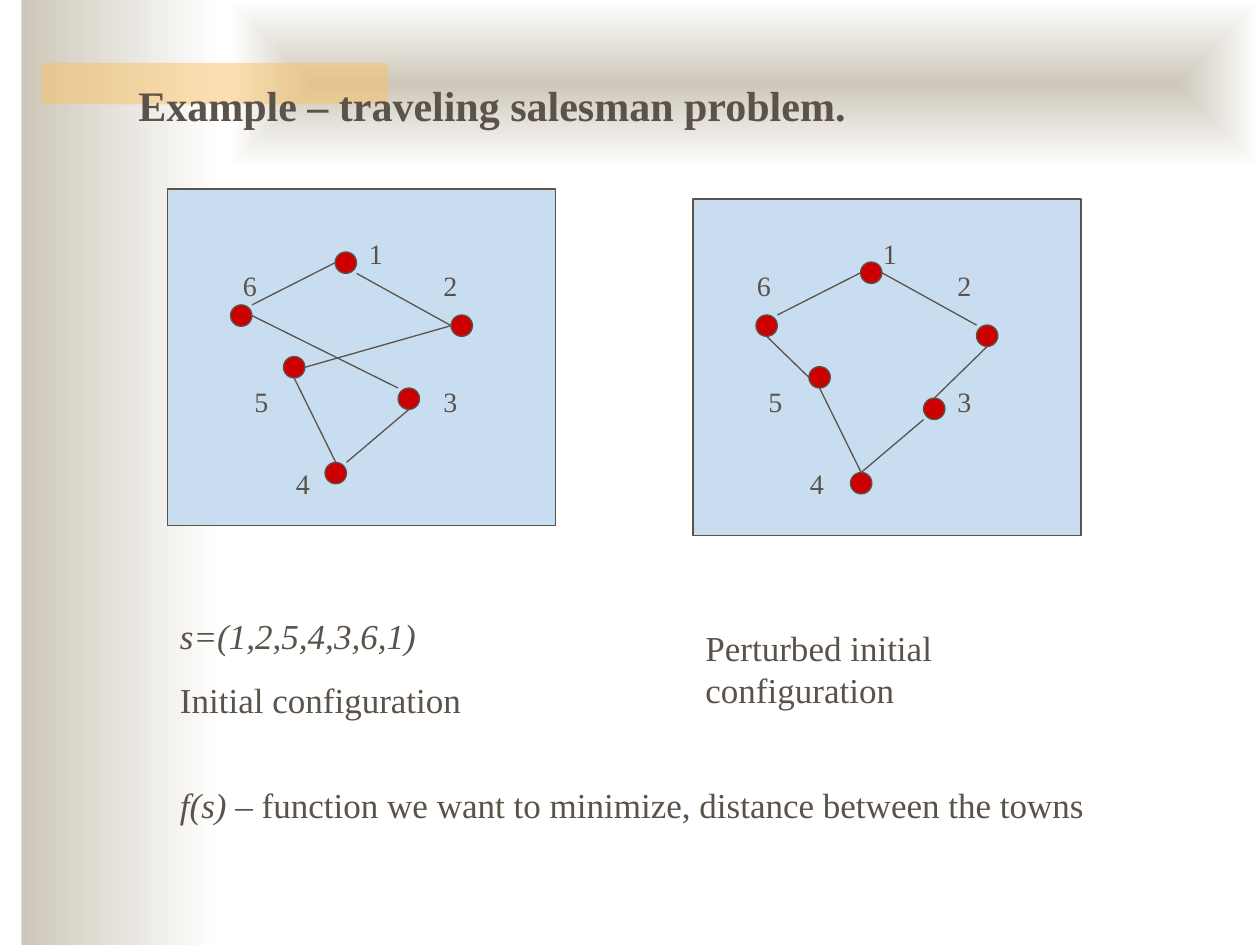
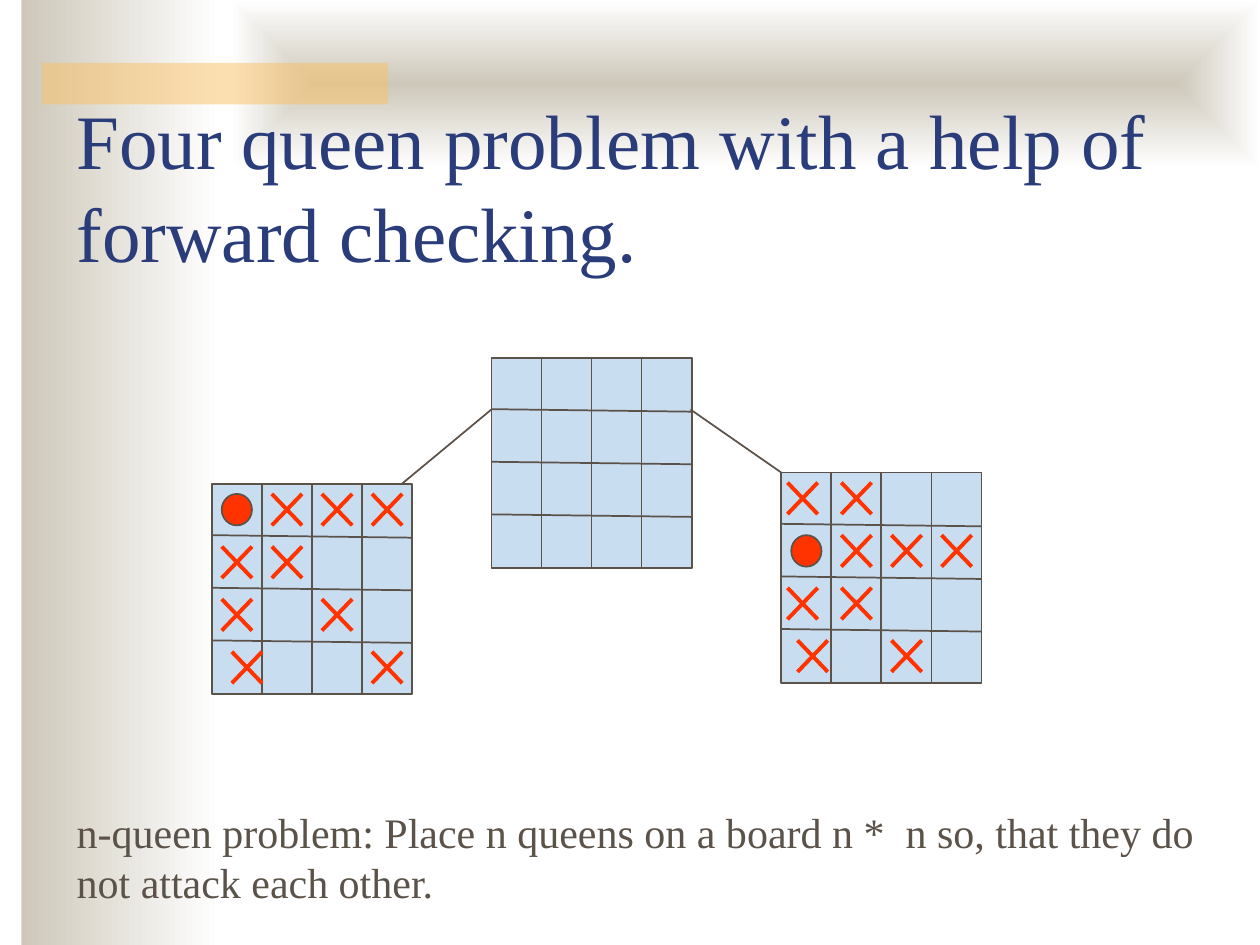
from lxml import etree
from pptx import Presentation
from pptx.dml.color import RGBColor
from pptx.enum.shapes import MSO_CONNECTOR as Connector, MSO_SHAPE as Preset
from pptx.enum.text import MSO_ANCHOR as Anchor, MSO_AUTO_SIZE as AutoSize
from pptx.oxml.ns import qn
from pptx.util import Inches, Pt

FONT = "Times New Roman"
INK = RGBColor(0x5B, 0x52, 0x49)
NAVY = RGBColor(0x2A, 0x3D, 0x7A)
SAND = RGBColor(0xCE, 0xC8, 0xBA)
WHITE = RGBColor(0xFF, 0xFF, 0xFF)
AMBER = RGBColor(0xFA, 0xC1, 0x64)
SKY = RGBColor(0xC9, 0xDD, 0xF1)
TOWN_RED = RGBColor(0xCC, 0x00, 0x00)
QUEEN_RED = RGBColor(0xFF, 0x33, 0x00)

DOT = 0.17
TOWNS = {1: (1.33, 0.5), 2: (2.25, 1), 3: (1.83, 1.58),
         4: (1.25, 2.17), 5: (0.92, 1.33), 6: (0.5, 0.92)}
LABELS = {1: (2.83, 1.83), 2: (3.42, 2.08), 3: (3.42, 3),
          4: (2.25, 3.65), 5: (1.92, 3), 6: (1.83, 2.08)}
ANCHORS = {"N": (0.5, 0), "NE": (1, 0), "E": (1, 0.5), "SE": (1, 1),
           "S": (0.5, 1), "SW": (0, 1), "W": (0, 0.5), "NW": (0, 0)}
INITIAL_ROADS = [(1, "SE", 2, "W"), (2, "W", 5, "E"), (5, "S", 4, "N"),
                 (4, "NE", 3, "S"), (3, "NW", 6, "E"), (6, "NE", 1, "W")]
PERTURBED_ROADS = [(1, "E", 2, "NW"), (5, "S", 4, "N"), (4, "N", 3, "SW"),
                   (6, "NE", 1, "W"), (6, "S", 5, "W"), (2, "S", 3, "N")]

BOARD_SIZE = (1.59, 1.67)
CELL_WIDTH = BOARD_SIZE[0] / 4
CELL_HEIGHT = BOARD_SIZE[1] / 4
EMPTY = ("....",) * 4
LEFT_MARKS = ("QXXX", "XX..", "X.X.", "X..X")
RIGHT_MARKS = ("XX..", "QXXX", "XX..", "X.X.")


def add_block(shapes, preset, left, top, width, height, fill=None, line=None, weight=0.75):
    block = shapes.add_shape(preset, Inches(left), Inches(top), Inches(width), Inches(height))
    block.shadow.inherit = False
    if fill is not None:
        block.fill.solid()
        block.fill.fore_color.rgb = fill
    if line is None:
        block.line.fill.background()
    else:
        block.line.color.rgb = line
        block.line.width = Pt(weight)
    return block


def add_line(shapes, start, end, color=INK, weight=0.75):
    line = shapes.add_connector(Connector.STRAIGHT, *(Inches(value) for value in (*start, *end)))
    line.line.color.rgb = color
    line.line.width = Pt(weight)
    etree.SubElement(line._element.spPr, qn("a:effectLst"))


def add_text(shapes, left, top, width, height, paragraphs, size,
             color=INK, bold=False, gap=0, anchor=Anchor.TOP, grow=True):
    box = shapes.add_textbox(Inches(left), Inches(top), Inches(width), Inches(height))
    frame = box.text_frame
    frame.word_wrap = True
    frame.vertical_anchor = anchor
    frame.auto_size = AutoSize.SHAPE_TO_FIT_TEXT if grow else AutoSize.NONE
    for index, spans in enumerate(paragraphs):
        para = frame.add_paragraph() if index else frame.paragraphs[0]
        if index:
            para.space_before = Pt(gap)
        para.font.name = FONT
        para.font.size = Pt(size)
        para.font.bold = bold
        para.font.color.rgb = color
        for text, italic in spans:
            span = para.add_run()
            span.text = text
            span.font.italic = italic


def set_gradient(block, from_center=False):
    block.fill.gradient()
    block.fill.gradient_angle = 0
    for stop, color, position in zip(block.fill.gradient_stops, (SAND, WHITE), (0, 1)):
        stop.color.rgb = color
        stop.position = position
    if from_center:
        gradient = block._element.spPr.find(qn("a:gradFill"))
        gradient.remove(gradient.find(qn("a:lin")))
        shade = etree.SubElement(gradient, qn("a:path"), path="rect")
        etree.SubElement(shade, qn("a:fillToRect"), l="50000", t="50000", r="50000", b="50000")


def add_page(deck):
    page = deck.slides.add_slide(deck.slide_layouts[6])
    set_gradient(add_block(page.shapes, Preset.RECTANGLE, 0.17, 0, 1.58, 7.5))
    set_gradient(add_block(page.shapes, Preset.RECTANGLE, 1.83, 0, 8.17, 1.33), from_center=True)
    bar = add_block(page.shapes, Preset.RECTANGLE, 0.33, 0.5, 2.75, 0.33, AMBER)
    color = bar._element.spPr.find(qn("a:solidFill"))[0]
    etree.SubElement(color, qn("a:alpha"), val="50000")
    return page


def add_tour(page, left, top, label_shift, roads):
    shapes = page.shapes.add_group_shape().shapes
    add_block(shapes, Preset.RECTANGLE, left, top, 3.08, 2.67, SKY, INK)
    for x, y in TOWNS.values():
        add_block(shapes, Preset.OVAL, left + x, top + y, DOT, DOT, TOWN_RED, INK)
    for town, (x, y) in LABELS.items():
        add_text(shapes, x + label_shift, y, 0.33, 0.37, [[(str(town), False)]], 16)

    def road_end(town, side):
        x, y = TOWNS[town]
        across, down = ANCHORS[side]
        return left + x + across * DOT, top + y + down * DOT

    for start, start_side, end, end_side in roads:
        add_line(shapes, road_end(start, start_side), road_end(end, end_side))


def add_cross(shapes, left, top):
    right, bottom = left + 0.24, top + 0.25
    add_line(shapes, (left, top), (right, bottom), QUEEN_RED, 2.25)
    add_line(shapes, (right, top), (left, bottom), QUEEN_RED, 2.25)


def add_board(page, left, top, marks, nudges):
    shapes = page.shapes.add_group_shape().shapes
    width, height = BOARD_SIZE
    add_block(shapes, Preset.RECTANGLE, left, top, width, height, SKY, INK, 1)
    for step in range(1, 4):
        x, y = left + step * CELL_WIDTH, top + step * CELL_HEIGHT
        add_line(shapes, (x, top), (x, top + height), weight=1)
        add_line(shapes, (left + width, y + 0.01), (left, y - 0.01), weight=1)
    for row, line in enumerate(marks):
        for column, mark in enumerate(line):
            x = left + 0.08 + column * CELL_WIDTH + nudges.get((column, row), 0)
            y = top + 0.08 + row * CELL_HEIGHT
            if mark == "Q":
                add_block(shapes, Preset.OVAL, x, y, 0.24, 0.25, QUEEN_RED, INK, 1)
            elif mark == "X":
                add_cross(shapes, x, y)


def add_salesman_page(deck):
    page = add_page(deck)
    add_text(page.shapes, 1, 0.58, 9, 0.5,
             [[("Example – traveling salesman problem.", False)]], 24, bold=True)
    add_tour(page, 1.33, 1.5, 0, INITIAL_ROADS)
    add_text(page.shapes, 1.33, 4.83, 2.92, 0.94,
             [[("s=(1,2,5,4,3,6,1)", True)], [("Initial configuration", False)]], 20, gap=12.5)
    add_tour(page, 5.5, 1.58, 4.08, PERTURBED_ROADS)
    add_text(page.shapes, 5.5, 4.92, 3.08, 0.77,
             [[("Perturbed initial configuration", False)]], 20)
    add_text(page.shapes, 1.33, 6.17, 8.39, 0.44,
             [[("f(s)", True),
               (" – function we want to minimize, distance between the towns", False)]], 20)


def add_queens_page(deck):
    page = add_page(deck)
    add_text(page.shapes, 0.51, 0.84, 9.24, 1.26,
             [[("Four queen problem with a help of forward checking.", False)]],
             44, NAVY, anchor=Anchor.MIDDLE, grow=False)
    add_board(page, 3.9, 2.84, EMPTY, {})
    add_board(page, 1.68, 3.84, LEFT_MARKS, {(0, 3): 0.08})
    add_board(page, 6.2, 3.75, RIGHT_MARKS, {(0, 0): -0.03, (0, 2): -0.03, (0, 3): 0.05})
    add_line(page.shapes, (3.9, 3.25), (3.19, 3.84), weight=1)
    add_line(page.shapes, (5.48, 3.25), (6.2, 3.75), weight=1)
    add_text(page.shapes, 0.51, 6.35, 9.49, 0.9,
             [[("n-queen problem: Place n queens on a board n *  n so, "
                "that they do not attack each other.", False)]], 24)


def main():
    deck = Presentation()
    deck.slide_width = Inches(10)
    deck.slide_height = Inches(7.5)
    add_salesman_page(deck)
    add_queens_page(deck)
    deck.save("out.pptx")


if __name__ == "__main__":
    main()
